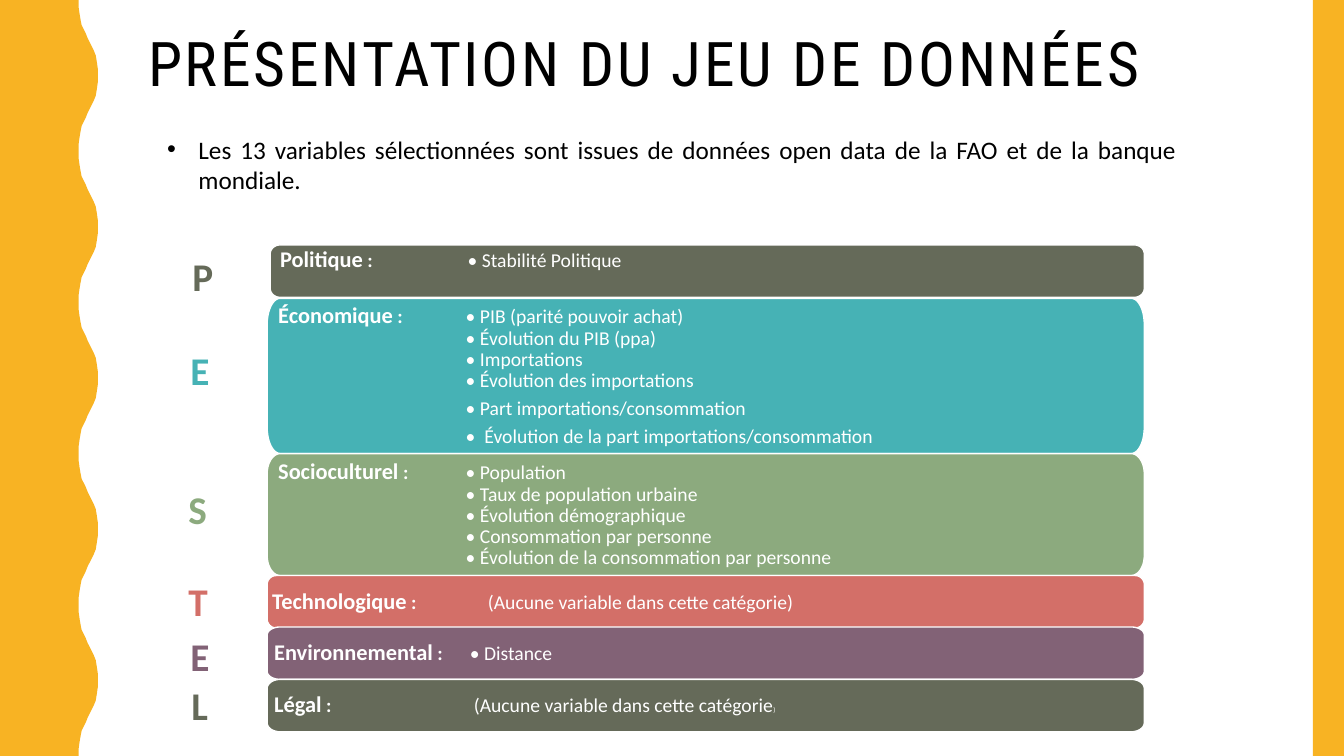
from math import cos, pi, sin

from lxml import etree
from pptx import Presentation
from pptx.dml.color import RGBColor
from pptx.enum.shapes import MSO_SHAPE
from pptx.enum.text import MSO_ANCHOR, PP_ALIGN
from pptx.oxml.ns import qn
from pptx.util import Inches, Pt

TOP, MIDDLE = MSO_ANCHOR.TOP, MSO_ANCHOR.MIDDLE
JUSTIFY = PP_ALIGN.JUSTIFY
RECT = MSO_SHAPE.RECTANGLE

COLORS = {
    "gold": "F8B323", "black": "000000", "white": "FFFFFF",
    "olive": "656A59", "teal": "46B2B5", "green": "8CAA7E",
    "coral": "D36F68", "plum": "826276",
}
TITLE = "PRÉSENTATION DU JEU DE DONNÉES"
INTRO = ("Les 13 variables sélectionnées sont issues de données open data "
         "de la FAO et de la banque mondiale.")

# label, colour, (left, top, height), (corner width, corner height),
# inset, text column, groups of items
BANDS = [
    ("Politique", "olive", (2.68, 2.43, 0.52), (0.1, 0.09), 0.1, 4.64,
     [["• Stabilité Politique"]]),
    ("Économique", "teal", (2.65, 2.96, 1.54), (0.13, 0.26), 0.11, 4.62,
     [["• PIB (parité pouvoir achat)", "• Évolution du PIB (ppa)",
       "• Importations", "• Évolution des importations"],
      ["• Part importations/consommation"],
      ["•  Évolution de la part importations/consommation"]]),
    ("Socioculturel", "green", (2.65, 4.5, 1.21), (0.13, 0.2), 0.11, 4.62,
     [["• Population", "• Taux de population urbaine",
       "• Évolution démographique", "• Consommation par personne",
       "• Évolution de la consommation par personne"]]),
    ("Technologique", "coral", (2.65, 5.71, 0.52), (0.09, 0.09), 0.05, 4.84,
     [["(Aucune variable dans cette catégorie)"]]),
    ("Environnemental", "plum", (2.65, 6.22, 0.52), (0.13, 0.08), 0.07, 4.66,
     [["• Distance"]]),
    ("Légal", "olive", (2.65, 6.74, 0.52), (0.13, 0.09), 0.07, 4.7,
     [["(Aucune variable dans cette catégorie"]]),
]
RIGHT = 11.35
# letter, colour, left, top
LETTERS = [
    ("P", "olive", 1.81, 2.45), ("E", "teal", 1.79, 3.39),
    ("S", "green", 1.77, 4.77), ("T", "coral", 1.77, 5.68),
    ("E", "plum", 1.79, 6.22), ("L", "olive", 1.8, 6.71),
]
# first half of one wave, x and y
CREST = [
    (0.78, 0), (0.78, 0.07), (0.79, 0.14), (0.8, 0.2), (0.81, 0.25),
    (0.83, 0.29), (0.85, 0.33), (0.87, 0.38), (0.89, 0.42), (0.91, 0.46),
    (0.93, 0.5), (0.95, 0.55), (0.96, 0.61), (0.97, 0.68), (0.97, 0.75),
]
PERIOD, WAVES = 1.5, 5

deck = Presentation()
deck.slide_width, deck.slide_height = Inches(13.33), Inches(7.5)
slide = deck.slides.add_slide(deck.slide_layouts[6])
shapes = slide.shapes


def rgb(name):
    return RGBColor.from_string(COLORS[name])


def paint(shape, fill, line=None):
    shape.shadow.inherit = False
    shape.fill.solid()
    shape.fill.fore_color.rgb = rgb(fill)
    if line:
        shape.line.color.rgb = rgb(line)
        shape.line.width = Pt(1)
    else:
        shape.line.fill.background()


def outline(points):
    dots = [(Inches(x), Inches(y)) for x, y in points]
    pen = shapes.build_freeform(*dots[0], scale=1.0)
    pen.add_line_segments(dots[1:], close=True)
    return pen.convert_to_shape()


def style(run, size, color, bold=False, face="Calibri"):
    font = run.font
    font.name, font.size, font.bold = face, Pt(size), bold
    font.color.rgb = rgb(color)


def add_run(para, text, size, bold=False):
    run = para.add_run()
    run.text = text
    style(run, size, "white", bold)


def indent(para, left, first):
    props = para._p.get_or_add_pPr()
    props.set("marL", str(Inches(left)))
    props.set("indent", str(Inches(first)))
    return props


def add_text(text, box, size, color, bold=False, face="Calibri", wrap=True):
    frame = shapes.add_textbox(*map(Inches, box)).text_frame
    frame.word_wrap = wrap
    para = frame.paragraphs[0]
    para.text = text
    style(para.runs[0], size, color, bold, face)
    return frame


def round_box(left, top, height, rx, ry):
    """Points of a box whose corners are quarter ellipses."""
    base = top + height
    hubs = [(RIGHT - rx, base - ry), (left + rx, base - ry),
            (left + rx, top + ry), (RIGHT - rx, top + ry)]
    steps = 10
    return [(x + rx * cos(a), y + ry * sin(a))
            for turn, (x, y) in enumerate(hubs)
            for a in ((turn + i / steps) * pi / 2 for i in range(steps + 1))]


def add_band(label, color, place, corner, inset, column, groups):
    band = outline(round_box(*place, *corner))
    paint(band, color, "white")
    frame = band.text_frame
    frame.word_wrap = True
    frame.margin_left = frame.margin_right = Inches(inset)
    frame.margin_top = frame.margin_bottom = Inches(inset)
    frame.vertical_anchor = MIDDLE
    if label == "Politique":
        frame.vertical_anchor = TOP
        frame.margin_top = Inches(0.03)
    hang = column - place[0] - inset
    para = frame.paragraphs[0]
    add_run(para, label, 16, True)
    add_run(para, " :\t", 14, True)
    indent(para, hang, -hang)
    for group in groups:
        for item in group:
            if para is None:
                para = frame.add_paragraph()
                indent(para, hang, 0)
            add_run(para, item, 14)
            if label == "Légal":
                add_run(para, ")", 5)
            para.alignment = PP_ALIGN.LEFT
            para.line_spacing = 0.9
            para.space_after = Pt(5 if item == group[-1] else 0)
            para = None


half = CREST + [(x, PERIOD - y) for x, y in CREST[-2:0:-1]]
edge = [(x, y + PERIOD * n) for n in range(WAVES) for x, y in half]
paint(outline([(0, 0)] + edge + [(0.78, 7.5), (0, 7.5)]), "gold")
paint(shapes.add_shape(RECT, Inches(13.02), 0, Inches(0.31), Inches(7.5)),
      "gold")

title = add_text(TITLE, (1.37, 0.07, 11.13, 1.18), 44, "black",
                 face="Roboto Condensed")
title.vertical_anchor = MIDDLE
head = title.paragraphs[0]
head.line_spacing = 0.9
head.runs[0].font._element.set("spc", "200")

for band in BANDS:
    add_band(*band)
for letter, color, left, top in LETTERS:
    add_text(letter, (left, top, 0.45, 0.57), 28, color, True, wrap=False)

intro = add_text(INTRO, (1.56, 1.28, 10.21, 0.71), 18, "black").paragraphs[0]
intro.alignment = JUSTIFY
props = indent(intro, 0.31, -0.31)
etree.SubElement(props, qn("a:buFont")).set("typeface", "Arial")
etree.SubElement(props, qn("a:buChar")).set("char", "•")

deck.save("out.pptx")
